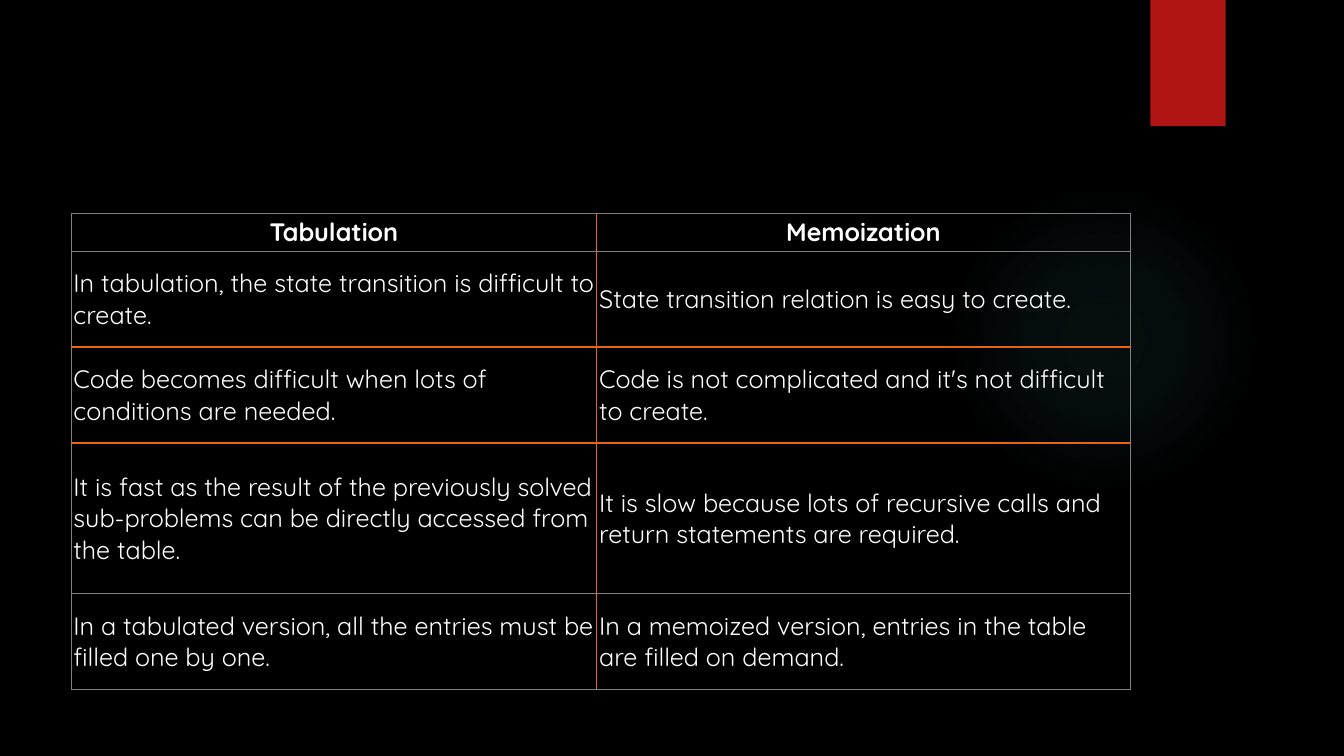
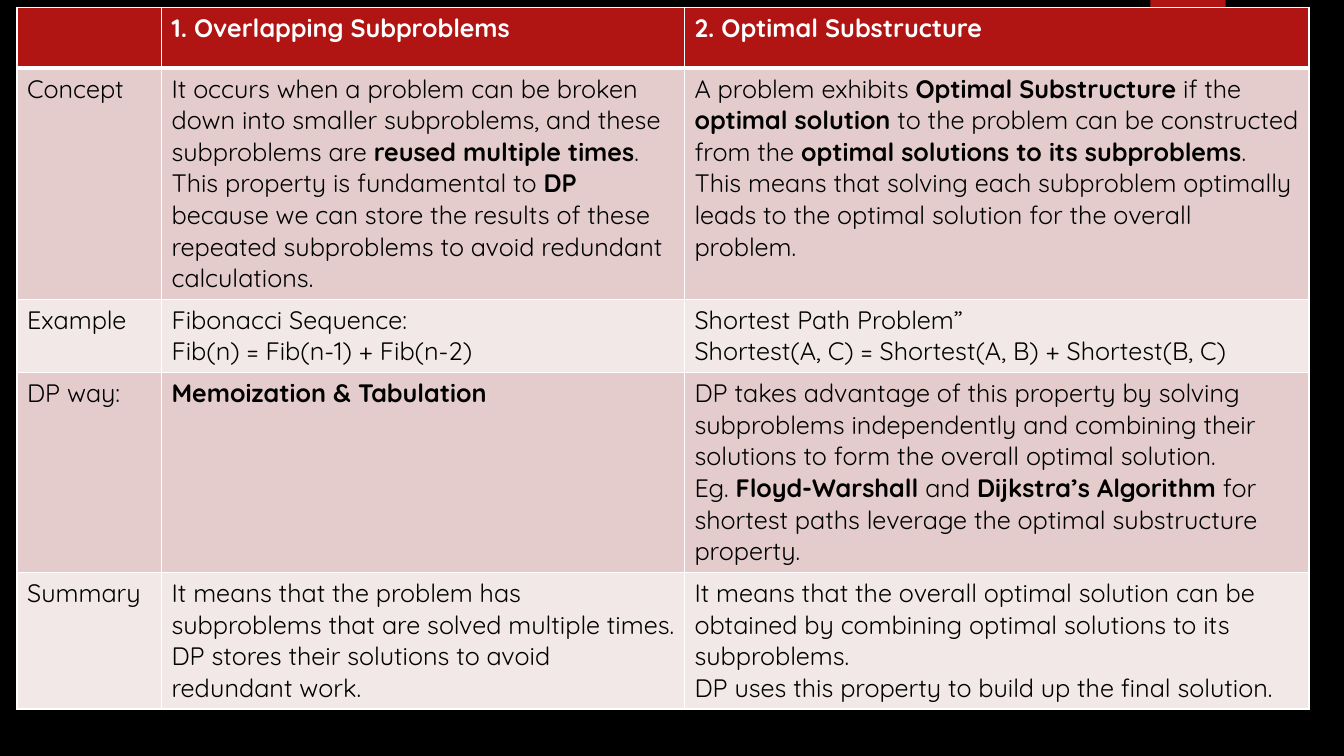
import pptx
import pptx.dml.color
import pptx.enum.shapes
import pptx.enum.text
import pptx.oxml
import pptx.oxml.ns
import pptx.util

Cm = pptx.util.Cm
qn = pptx.oxml.ns.qn

COLORS = {
    "black": "000000",
    "white": "FFFFFF",
    "red": "B01513",
    "orange": "EA6312",
    "grey": "808080",
    "glow": "50B9C1",
    "rose": "E4CCCC",
    "blush": "F2E8E7",
}
FONT = "Quicksand"
TEXT_SIZE = pptx.util.Pt(18)
PLAIN_STYLE = "{2D5ABB26-0587-4C30-8999-92F81FD0307C}"
GLOW_STOPS = [(0, 7), (36, 6), (69, 0)]

METHODS = [
    ["**Tabulation**", "**Memoization**"],
    ["In tabulation, the state transition is difficult to create.",
     "State transition relation is easy to create."],
    ["Code becomes difficult when lots of conditions are needed.",
     "Code is not complicated and it's not difficult to create."],
    ["It is fast as the result of the previously solved sub-problems can be "
     "directly accessed from the table.",
     "It is slow because lots of recursive calls and return statements are required."],
    ["In a tabulated version, all the entries must be filled one by one.",
     "In a memoized version, entries in the table are filled on demand."],
]

PROPERTIES = [
    ["", "**1. Overlapping Subproblems**", "**2. Optimal Substructure**"],
    ["Concept",
     "It occurs when a problem can be broken down into smaller subproblems, and these "
     "subproblems are **reused multiple times**.\n"
     "This property is fundamental to **DP** because we can store the results of these "
     "repeated subproblems to avoid redundant calculations.",
     "A problem exhibits **Optimal Substructure** if the **optimal solution** to the "
     "problem can be constructed from the **optimal solutions to its subproblems**.\n"
     "This means that solving each subproblem optimally leads to the optimal solution "
     "for the overall problem."],
    ["Example",
     "Fibonacci Sequence:\vFib(n) = Fib(n-1) + Fib(n-2)",
     "Shortest Path Problem”\vShortest(A, C) = Shortest(A, B) + Shortest(B, C)"],
    ["DP way:",
     "**Memoization & Tabulation**",
     "DP takes advantage of this property by solving subproblems independently and "
     "combining their solutions to form the overall optimal solution.\n"
     "Eg. **Floyd-Warshall** and **Dijkstra’s Algorithm** for shortest paths leverage "
     "the optimal substructure property."],
    ["Summary",
     "It means that the problem has subproblems that are solved multiple times.\n"
     "DP stores their solutions to avoid redundant work.",
     "It means that the overall optimal solution can be obtained by combining optimal "
     "solutions to its subproblems.\n"
     "DP uses this property to build up the final solution."],
]


def rgb(name):
    return pptx.dml.color.RGBColor.from_string(COLORS[name])


def add_plain_shape(slide, kind, left, top, width, height):
    shape = slide.shapes.add_shape(kind, Cm(left), Cm(top), Cm(width), Cm(height))
    shape.shadow.inherit = False
    shape.line.fill.background()
    return shape


def add_glow(slide):
    glow = add_plain_shape(slide, pptx.enum.shapes.MSO_SHAPE.OVAL, 23.9, 4.65, 7.82, 7.82)
    glow.fill.background()
    stops = "".join(
        f'<a:gs pos="{place * 1000}"><a:srgbClr val="{COLORS["glow"]}">'
        f'<a:alpha val="{alpha * 1000}"/></a:srgbClr></a:gs>'
        for place, alpha in GLOW_STOPS
    )
    gradient = pptx.oxml.parse_xml(
        f'<a:gradFill {pptx.oxml.ns.nsdecls("a")}><a:gsLst>{stops}</a:gsLst>'
        '<a:path path="circle"><a:fillToRect l="50000" t="50000" r="50000" b="50000"/>'
        '</a:path></a:gradFill>'
    )
    properties = glow._element.spPr
    properties.replace(properties.find(qn("a:noFill")), gradient)


def add_page(deck):
    page = deck.slides.add_slide(deck.slide_layouts[6])
    add_glow(page)
    ribbon = add_plain_shape(page, pptx.enum.shapes.MSO_SHAPE.RECTANGLE, 28.99, 0, 1.9, 3.18)
    ribbon.fill.solid()
    ribbon.fill.fore_color.rgb = rgb("red")
    return page


def write_paragraph(para, content, color):
    if "**" not in content:
        para.text = content
    else:
        for position, piece in enumerate(content.split("**")):
            if piece:
                span = para.add_run()
                span.text = piece
                span.font.bold = position % 2 == 1
    for span in para.runs:
        span.font.name = FONT
        span.font.size = TEXT_SIZE
        span.font.color.rgb = rgb(color)


def write_cell(cell, text, color):
    frame = cell.text_frame
    for index, content in enumerate(text.split("\n")):
        para = frame.add_paragraph() if index else frame.paragraphs[0]
        write_paragraph(para, content, color)


def set_border(cell, side, rule):
    name, width = rule
    cell._tc.get_or_add_tcPr().append(pptx.oxml.parse_xml(
        f'<a:ln{side} {pptx.oxml.ns.nsdecls("a")} w="{pptx.util.Pt(width)}">'
        f'<a:solidFill><a:srgbClr val="{COLORS[name]}"/></a:solidFill></a:ln{side}>'
    ))


def add_grid(page, rows, left, top, widths, heights, across, down):
    frame = page.shapes.add_table(
        len(rows), len(widths), Cm(left), Cm(top), Cm(sum(widths)), Cm(sum(heights)))
    table = frame.table
    table.horz_banding = False
    table._tbl.tblPr.find(qn("a:tableStyleId")).text = PLAIN_STYLE
    for column, width in zip(table.columns, widths):
        column.width = Cm(width)
    for row, height in zip(table.rows, heights):
        row.height = Cm(height)
    for r in range(len(rows)):
        for c in range(len(widths)):
            sides = {"L": down[c], "R": down[c + 1], "T": across[r], "B": across[r + 1]}
            for side, rule in sides.items():
                set_border(table.cell(r, c), side, rule)
    return table


def add_methods_table(page):
    grey, orange, bright = ("grey", 0.75), ("orange", 1), ("orange", 1.5)
    table = add_grid(
        page, METHODS, 1.79, 5.37, [13.25, 13.44], [0.96, 2.42, 2.42, 3.79, 2.42],
        [grey, grey, bright, bright, grey, grey], [grey, orange, grey])
    for r, texts in enumerate(METHODS):
        for c, text in enumerate(texts):
            cell = table.cell(r, c)
            cell.fill.background()
            cell.margin_left = cell.margin_right = Cm(0.06)
            cell.margin_top = cell.margin_bottom = Cm(0.07)
            write_cell(cell, text, "white")
            if r == 0:
                cell.text_frame.paragraphs[0].alignment = pptx.enum.text.PP_ALIGN.CENTER
            else:
                cell.vertical_anchor = pptx.enum.text.MSO_ANCHOR.MIDDLE


def add_properties_table(page):
    thin, thick = ("white", 1), ("white", 3)
    table = add_grid(
        page, PROPERTIES, 0.43, 0.19, [3.64, 13.18, 15.74], [1.52, 5.82, 1.84, 5.04, 3.44],
        [thin, thick, thin, thin, thin, thin], [thin] * 4)
    for r, texts in enumerate(PROPERTIES):
        band = "red" if r == 0 else ("blush", "rose")[r % 2]
        for c, text in enumerate(texts):
            cell = table.cell(r, c)
            cell.fill.solid()
            cell.fill.fore_color.rgb = rgb(band)
            write_cell(cell, text, "white" if r == 0 else "black")


def main():
    deck = pptx.Presentation()
    deck.slide_width = Cm(33.87)
    deck.slide_height = Cm(19.05)
    background = deck.slide_master.background.fill
    background.solid()
    background.fore_color.rgb = rgb("black")
    add_methods_table(add_page(deck))
    add_properties_table(add_page(deck))
    deck.save("out.pptx")


if __name__ == "__main__":
    main()
